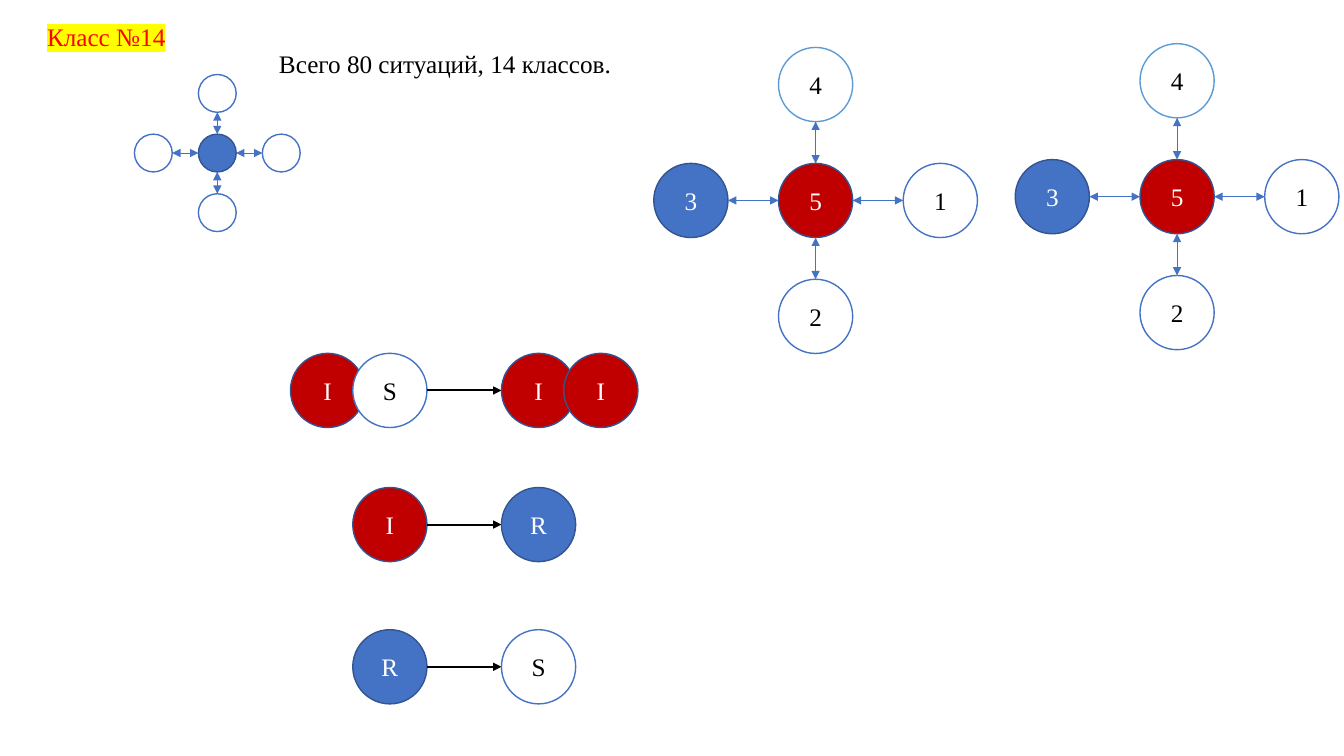
from lxml import etree
from pptx import Presentation
from pptx.dml.color import RGBColor
from pptx.enum.shapes import MSO_CONNECTOR as CXN, MSO_SHAPE as SHAPE
from pptx.enum.text import MSO_ANCHOR as ANCHOR, MSO_AUTO_SIZE as AUTO, PP_ALIGN as ALIGN
from pptx.oxml.ns import qn
from pptx.util import Pt

BLACK = RGBColor(0x00, 0x00, 0x00)
WHITE = RGBColor(0xFF, 0xFF, 0xFF)
BLUE = RGBColor(0x44, 0x72, 0xC4)
NAVY = RGBColor(0x32, 0x54, 0x91)
SKY = RGBColor(0x5B, 0x9B, 0xD5)
DARK_RED = RGBColor(0xC0, 0x00, 0x00)
RED = RGBColor(0xFF, 0x00, 0x00)
YELLOW = RGBColor(0xFF, 0xFF, 0x00)

# State of a cell: fill, outline, text
STATES = {
    "S": (WHITE, BLUE, BLACK),
    "I": (DARK_RED, NAVY, WHITE),
    "R": (BLUE, NAVY, WHITE),
    "S top": (WHITE, SKY, BLACK),
}
CELL = 53


def add_run(p, text, color):
    r = p.add_run()
    r.text = text
    r.font.name = "Times New Roman"
    r.font.size = Pt(18)
    r.font.color.rgb = color
    return r


def add_cell(shapes, x, y, size, state, label=""):
    fill, outline, color = STATES[state]
    sp = shapes.add_shape(SHAPE.OVAL, Pt(x), Pt(y), Pt(size), Pt(size))
    sp.shadow.inherit = False
    sp.fill.solid()
    sp.fill.fore_color.rgb = fill
    sp.line.color.rgb = outline
    sp.line.width = Pt(1)
    if label:
        tf = sp.text_frame
        tf.vertical_anchor = ANCHOR.MIDDLE
        p = tf.paragraphs[0]
        p.alignment = ALIGN.CENTER
        add_run(p, label, color)


def add_arrow(shapes, start, end, color, width, ends):
    """Draw a line with a triangle at each of ends (headEnd, tailEnd)."""
    line = shapes.add_connector(CXN.STRAIGHT, *map(Pt, start + end))
    line.line.color.rgb = color
    line.line.width = Pt(width)
    ln = line.line._get_or_add_ln()
    for tag in ends:
        etree.SubElement(ln, qn(f"a:{tag}"), type="triangle")
    etree.SubElement(line._element.spPr, qn("a:effectLst"))


def add_cross(s, x, y, size, dx, dy, cells):
    """Draw five cells; cells maps a (column, row) offset to state and label."""
    shapes = s.shapes.add_group_shape().shapes
    for (col, row), (state, label) in cells.items():
        add_cell(shapes, x + (col + 1) * dx, y + (row + 1) * dy, size, state, label)
    cx, cy, radius = x + dx + size / 2, y + dy + size / 2, size / 2
    for col, row in cells:
        if (col, row) != (0, 0):
            near = (cx + col * radius, cy + row * radius)
            far = (cx + col * (dx - radius), cy + row * (dy - radius))
            add_arrow(shapes, near, far, BLUE, 0.5, ("headEnd", "tailEnd"))


def add_rule(shapes, x, y, before, after):
    """Draw states before -> after, with paired cells overlapping outwards."""
    overlap, result_x, mid = 44.5, x + 106.2, y + CELL / 2
    for i, state in enumerate(before):
        add_cell(shapes, x - (len(before) - 1 - i) * overlap, y, CELL, state, state)
    add_arrow(shapes, (x + CELL, mid), (result_x, mid), BLACK, 1.5, ("tailEnd",))
    for i, state in enumerate(after):
        add_cell(shapes, result_x + i * overlap, y, CELL, state, state)


def add_text(s, x, y, w, h, text, color, wrap=False, align=ALIGN.LEFT):
    tf = s.shapes.add_textbox(*map(Pt, (x, y, w, h))).text_frame
    tf.word_wrap = wrap
    tf.auto_size = AUTO.SHAPE_TO_FIT_TEXT
    p = tf.paragraphs[0]
    p.alignment = align
    return add_run(p, text, color)


def highlight(r, color):
    mark = etree.Element(qn("a:highlight"))
    etree.SubElement(mark, qn("a:srgbClr"), val=str(color))
    r.font._element.find(qn("a:solidFill")).addnext(mark)


def main():
    prs = Presentation()
    prs.slide_width, prs.slide_height = Pt(960), Pt(540)
    s = prs.slides.add_slide(prs.slide_layouts[6])

    sides = [(-1, 0), (0, 1), (1, 0), (0, -1)]
    plain = {(0, 0): ("R", "")} | {side: ("S", "") for side in sides}
    add_cross(s, 96, 53.2, 27, 45.7, 42.6, plain)

    title = add_text(s, -3.6, 11.5, 159, 29, "Класс №14", RED, True, ALIGN.CENTER)
    highlight(title, YELLOW)
    add_text(s, 192.2, 31, 254, 29, "Всего 80 ситуаций, 14 классов.", BLACK)

    numbered = {
        (0, 0): ("I", "5"),
        (-1, 0): ("R", "3"),
        (0, 1): ("S", "2"),
        (1, 0): ("S", "1"),
        (0, -1): ("S top", "4"),
    }
    for x, y in [(467, 33.9), (725.2, 31.2)]:
        add_cross(s, x, y, CELL, 89.1, 82.8, numbered)

    rules = s.shapes.add_group_shape().shapes
    for y, before, after in [(252.4, "IS", "II"), (348.2, "I", "R"), (449.8, "R", "S")]:
        add_rule(rules, 252, y, before, after)

    prs.save("out.pptx")


if __name__ == "__main__":
    main()
